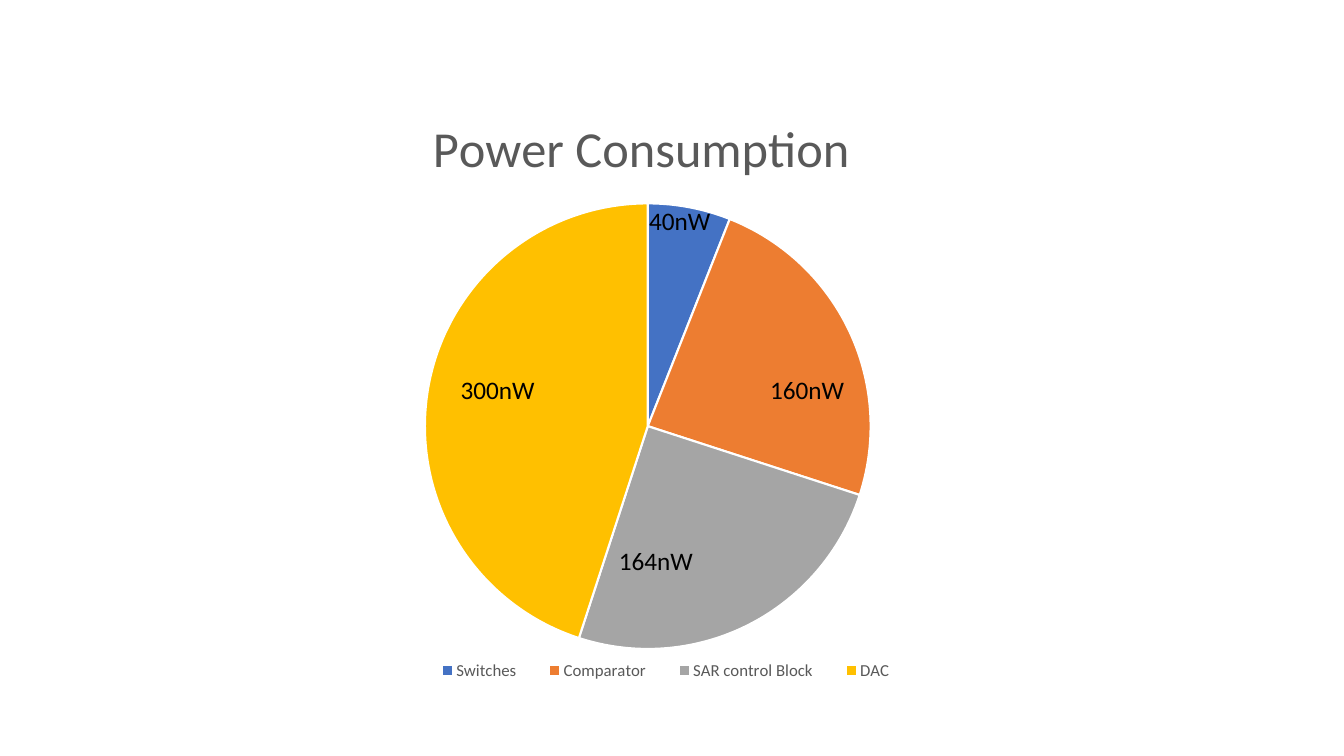
"""Build the power consumption pie chart slide."""
from dataclasses import dataclass

from lxml.etree import SubElement
from pptx import Presentation
from pptx.chart.chart import Chart
from pptx.chart.data import CategoryChartData
from pptx.dml.color import RGBColor
from pptx.enum.chart import XL_CHART_TYPE as ChartType, XL_LEGEND_POSITION as LegendPosition
from pptx.enum.text import MSO_AUTO_SIZE as AutoSize
from pptx.oxml import parse_xml
from pptx.oxml.ns import nsdecls, qn
from pptx.slide import Slide
from pptx.text.text import Font
from pptx.util import Emu, Pt


@dataclass(frozen=True)
class Theme:
    font: str = "Calibri"
    ink: str = "000000"
    muted: str = "595959"
    paper: str = "FFFFFF"
    title_size: int = 36
    label_size: int = 18
    legend_size: int = 12
    base_size: int = 10
    border_width: float = 1.5


@dataclass(frozen=True)
class Box:
    left: int
    top: int
    width: int
    height: int

    def emu(self) -> tuple[Emu, Emu, Emu, Emu]:
        return px(self.left), px(self.top), px(self.width), px(self.height)


@dataclass(frozen=True)
class Consumer:
    name: str
    share: int
    color: str
    power: str
    label_box: Box


THEME = Theme()
EMU_PER_PX = 9144
SLIDE_WIDTH, SLIDE_HEIGHT = 1333, 750
CHART_BOX = Box(198, 79, 889, 614)
CONSUMERS = [
    Consumer("Switches", 6, "4472C4", "40nW", Box(634, 199, 82, 40)),
    Consumer("Comparator", 24, "ED7D31", "160nW", Box(754, 366, 94, 40)),
    Consumer("SAR control Block", 25, "A5A5A5", "164nW", Box(604, 536, 94, 40)),
    Consumer("DAC", 45, "FFC000", "300nW", Box(447, 366, 94, 40)),
]
LAYOUTS = {
    "c:title": {"x": 0.25, "y": 0.04},
    "c:plotArea": {"x": 0.25, "y": 0.2, "w": 0.5, "h": 0.72},
    "c:legend": {"x": 0.24, "y": 0.93, "w": 0.56, "h": 0.05},
}


def px(length: int) -> Emu:
    return Emu(length * EMU_PER_PX)


def style_font(font: Font, size: int, color: str) -> None:
    font.name = THEME.font
    font.size = Pt(size)
    font.bold = False
    font.color.rgb = RGBColor.from_string(color)


def place_part(chart: Chart, tag: str, fractions: dict[str, float]) -> None:
    part = next(chart.element.iter(qn(tag)))
    for previous in part.findall(qn("c:layout")):
        part.remove(previous)
    layout = parse_xml(f"<c:layout {nsdecls('c')}/>")
    manual = SubElement(layout, qn("c:manualLayout"))
    if tag == "c:plotArea":
        SubElement(manual, qn("c:layoutTarget")).set("val", "inner")
    for axis in ("x", "y"):
        SubElement(manual, qn(f"c:{axis}Mode")).set("val", "edge")
    for side, fraction in fractions.items():
        SubElement(manual, qn(f"c:{side}")).set("val", str(fraction))
    overlay = part.find(qn("c:overlay"))
    part.insert(0 if overlay is None else part.index(overlay), layout)


def draw_pie(slide: Slide) -> None:
    shares = CategoryChartData()
    shares.categories = [consumer.name for consumer in CONSUMERS]
    shares.add_series("Series 1", [consumer.share for consumer in CONSUMERS])
    chart = slide.shapes.add_chart(ChartType.PIE, *CHART_BOX.emu(), shares).chart
    style_font(chart.font, THEME.base_size, THEME.ink)

    chart.has_title = True
    chart.chart_title.include_in_layout = False
    heading = chart.chart_title.text_frame.paragraphs[0].add_run()
    heading.text = "Power Consumption"
    style_font(heading.font, THEME.title_size, THEME.muted)

    chart.has_legend = True
    chart.legend.position = LegendPosition.BOTTOM
    chart.legend.include_in_layout = False
    style_font(chart.legend.font, THEME.legend_size, THEME.muted)

    pie = chart.plots[0]
    pie.vary_by_categories = True
    for index, consumer in enumerate(CONSUMERS):
        slice_format = pie.series[0].points[index].format
        slice_format.fill.solid()
        slice_format.fill.fore_color.rgb = RGBColor.from_string(consumer.color)
        slice_format.line.color.rgb = RGBColor.from_string(THEME.paper)
        slice_format.line.width = Pt(THEME.border_width)
    for tag, fractions in LAYOUTS.items():
        place_part(chart, tag, fractions)


def draw_power_label(slide: Slide, consumer: Consumer) -> None:
    frame = slide.shapes.add_textbox(*consumer.label_box.emu()).text_frame
    frame.word_wrap = False
    frame.auto_size = AutoSize.SHAPE_TO_FIT_TEXT
    power = frame.paragraphs[0].add_run()
    power.text = consumer.power
    style_font(power.font, THEME.label_size, THEME.ink)


def main() -> None:
    deck = Presentation()
    deck.slide_width, deck.slide_height = px(SLIDE_WIDTH), px(SLIDE_HEIGHT)
    slide = deck.slides.add_slide(deck.slide_layouts[6])
    draw_pie(slide)
    for consumer in CONSUMERS:
        draw_power_label(slide, consumer)
    deck.save("out.pptx")


if __name__ == "__main__":
    main()
